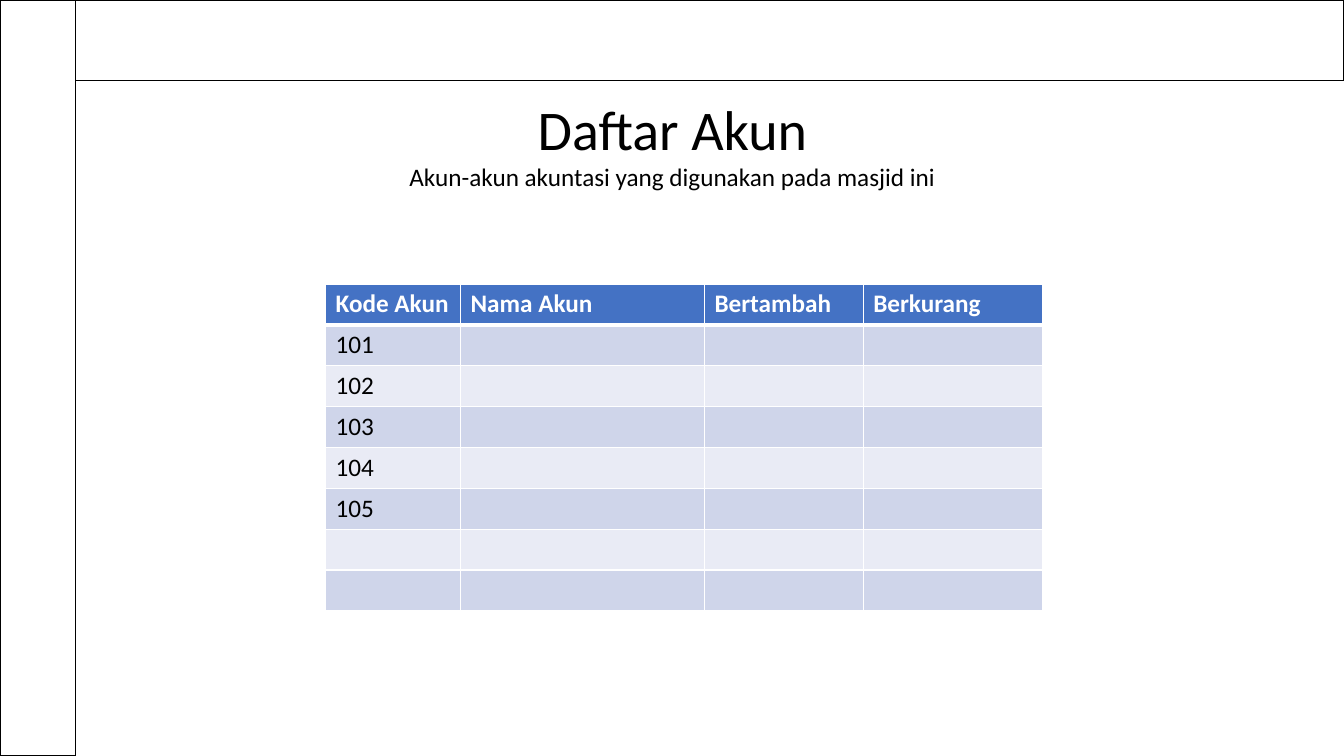
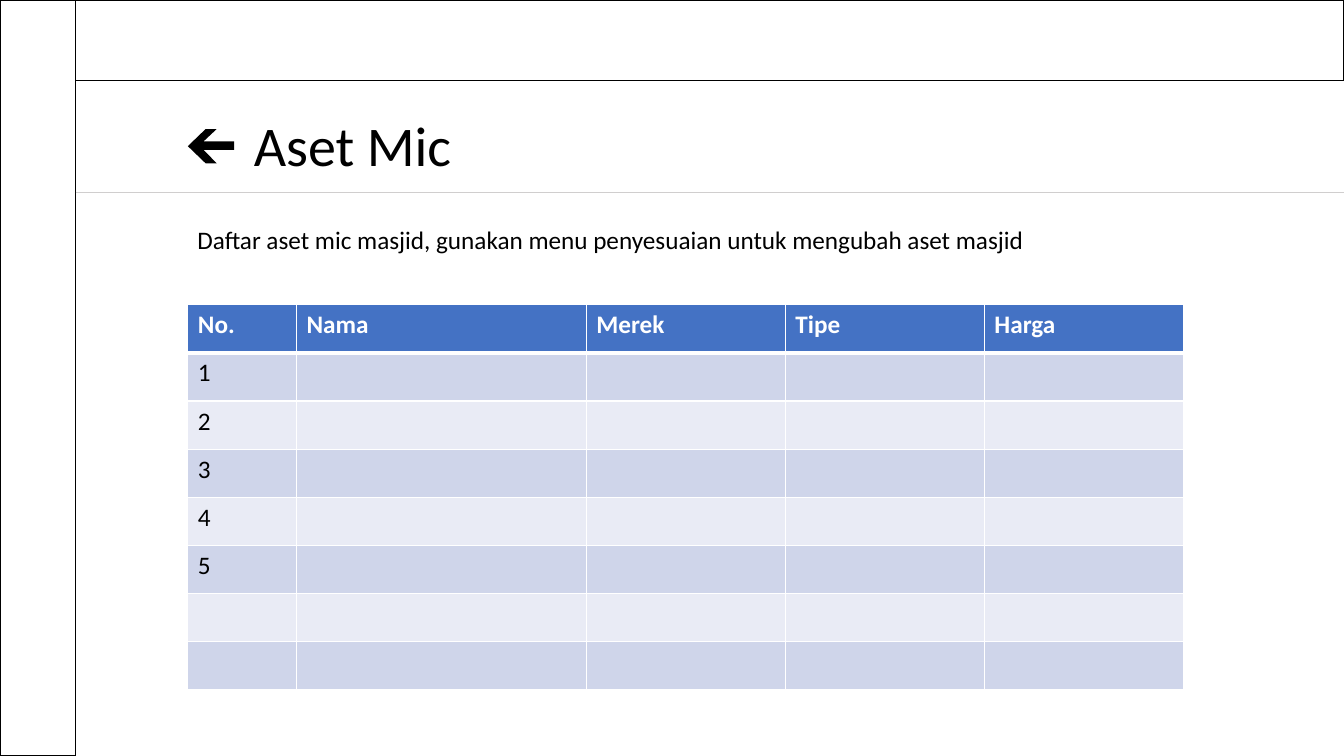
from lxml.etree import SubElement
from pptx import Presentation
from pptx.dml.color import RGBColor
from pptx.enum.shapes import MSO_CONNECTOR, MSO_SHAPE
from pptx.enum.text import MSO_ANCHOR, PP_ALIGN
from pptx.oxml.ns import qn
from pptx.util import Pt

THEME = {
    "ink": RGBColor.from_string("000000"),
    "paper": RGBColor.from_string("FFFFFF"),
    "header": RGBColor.from_string("4472C4"),
    "stripes": [RGBColor.from_string("CFD5EA"), RGBColor.from_string("E9EBF5")],
    "rule": RGBColor.from_string("D0CECE"),
    "title": {"name": "Calibri", "size": Pt(40), "bold": False},
    "body": {"name": "Calibri", "size": Pt(18), "bold": False},
    "heading": {"name": "Calibri", "size": Pt(18), "bold": True},
}
WIDTH, HEIGHT = 960, 540
BAND_HEIGHT, SIDEBAR_WIDTH = 57.6, 54
ROW_COUNT = 8

PAGES = [
    {
        "title": "Daftar Akun", "title_box": (347.8, 64.1, 265, 55.4),
        "subtitle": "Akun-akun akuntasi yang digunakan pada masjid ini",
        "subtitle_box": (163.4, 111.8, 633.6, 29),
        "align": PP_ALIGN.CENTER,
        "headings": ["Kode Akun", "Nama Akun", "Bertambah", "Berkurang"],
        "codes": range(101, 106),
        "origin": (232.6, 202.8), "columns": [96.4, 174.2, 113.4, 128.2],
        "row_height": 29.2, "back": False,
    },
    {
        "title": "Aset Mic", "title_box": (174.2, 75.6, 265, 55.4),
        "subtitle": "Daftar aset mic masjid, gunakan menu penyesuaian untuk mengubah aset masjid",
        "subtitle_box": (133.9, 156.5, 633.6, 29),
        "align": PP_ALIGN.LEFT,
        "headings": ["No.", "Nama", "Merek", "Tipe", "Harga"],
        "codes": range(1, 6),
        "origin": (134.2, 217.7), "columns": [77.6, 207, 142.2, 142.2, 142.2],
        "row_height": 34.4, "back": True,
    },
]


def add_panel(slide, box, outlined):
    panel = slide.shapes.add_shape(MSO_SHAPE.RECTANGLE, *map(Pt, box))
    panel.shadow.inherit = False
    panel.fill.solid()
    panel.fill.fore_color.rgb = THEME["paper"]
    if outlined:
        panel.line.color.rgb = THEME["ink"]
        panel.line.width = Pt(1)
    else:
        panel.line.fill.background()
    return panel


def write(frame, text, style, color, align=PP_ALIGN.LEFT):
    frame.word_wrap = True
    paragraph = frame.paragraphs[0]
    paragraph.alignment = align
    run = paragraph.add_run()
    run.text = text
    for attribute, value in THEME[style].items():
        setattr(run.font, attribute, value)
    run.font.color.rgb = THEME[color]


deck = Presentation()
deck.slide_width, deck.slide_height = Pt(WIDTH), Pt(HEIGHT)

for page in PAGES:
    slide = deck.slides.add_slide(deck.slide_layouts[6])

    # Top band and sidebar
    add_panel(slide, (0, 0, WIDTH, BAND_HEIGHT), True)
    add_panel(slide, (0, 0, SIDEBAR_WIDTH, HEIGHT), True)

    # Title and subtitle
    title = add_panel(slide, page["title_box"], False)
    title.text_frame.vertical_anchor = MSO_ANCHOR.MIDDLE
    write(title.text_frame, page["title"], "title", "ink", page["align"])
    subtitle = slide.shapes.add_textbox(*map(Pt, page["subtitle_box"]))
    write(subtitle.text_frame, page["subtitle"], "body", "ink", page["align"])

    # Table with striped rows
    columns = page["columns"]
    size = (sum(columns), ROW_COUNT * page["row_height"])
    listing = slide.shapes.add_table(
        ROW_COUNT, len(columns), *map(Pt, page["origin"] + size)).table
    for column, width in zip(listing.columns, columns):
        column.width = Pt(width)
    for row_index, row in enumerate(listing.rows):
        row.height = Pt(page["row_height"])
        is_header = row_index == 0
        for cell in row.cells:
            properties = cell._tc.get_or_add_tcPr()
            for side in "LRTB":
                thick = (is_header and side == "B") or (row_index == 1 and side == "T")
                border = SubElement(properties, qn(f"a:ln{side}"), w=str(Pt(3 if thick else 1)))
                fill = SubElement(border, qn("a:solidFill"))
                SubElement(fill, qn("a:srgbClr"), val=str(THEME["paper"]))
            cell.fill.solid()
            cell.fill.fore_color.rgb = (
                THEME["header"] if is_header else THEME["stripes"][(row_index - 1) % 2])
    for index, heading in enumerate(page["headings"]):
        write(listing.cell(0, index).text_frame, heading, "heading", "paper")
    for index, code in enumerate(page["codes"], start=1):
        write(listing.cell(index, 0).text_frame, str(code), "body", "ink")

    if page["back"]:
        # Back arrow
        outline = [(145.4, 107), (154.8, 116.6), (146.9, 116.6), (134.2, 104.4),
                   (146.9, 92.2), (154.8, 92.2), (145.4, 101), (167.2, 101), (167.2, 107)]
        builder = slide.shapes.build_freeform(*map(Pt, outline[0]))
        builder.add_line_segments([(Pt(x), Pt(y)) for x, y in outline[1:]], close=True)
        arrow = builder.convert_to_shape()
        arrow.shadow.inherit = False
        arrow.fill.solid()
        arrow.fill.fore_color.rgb = THEME["ink"]
        arrow.line.fill.background()

        # Rule under the title
        rule = slide.shapes.add_connector(
            MSO_CONNECTOR.STRAIGHT, Pt(SIDEBAR_WIDTH), Pt(137.5), Pt(WIDTH), Pt(137.5))
        rule.line.color.rgb = THEME["rule"]
        rule.line.width = Pt(0.5)
        SubElement(rule._element.spPr, qn("a:effectLst"))

deck.save("out.pptx")
